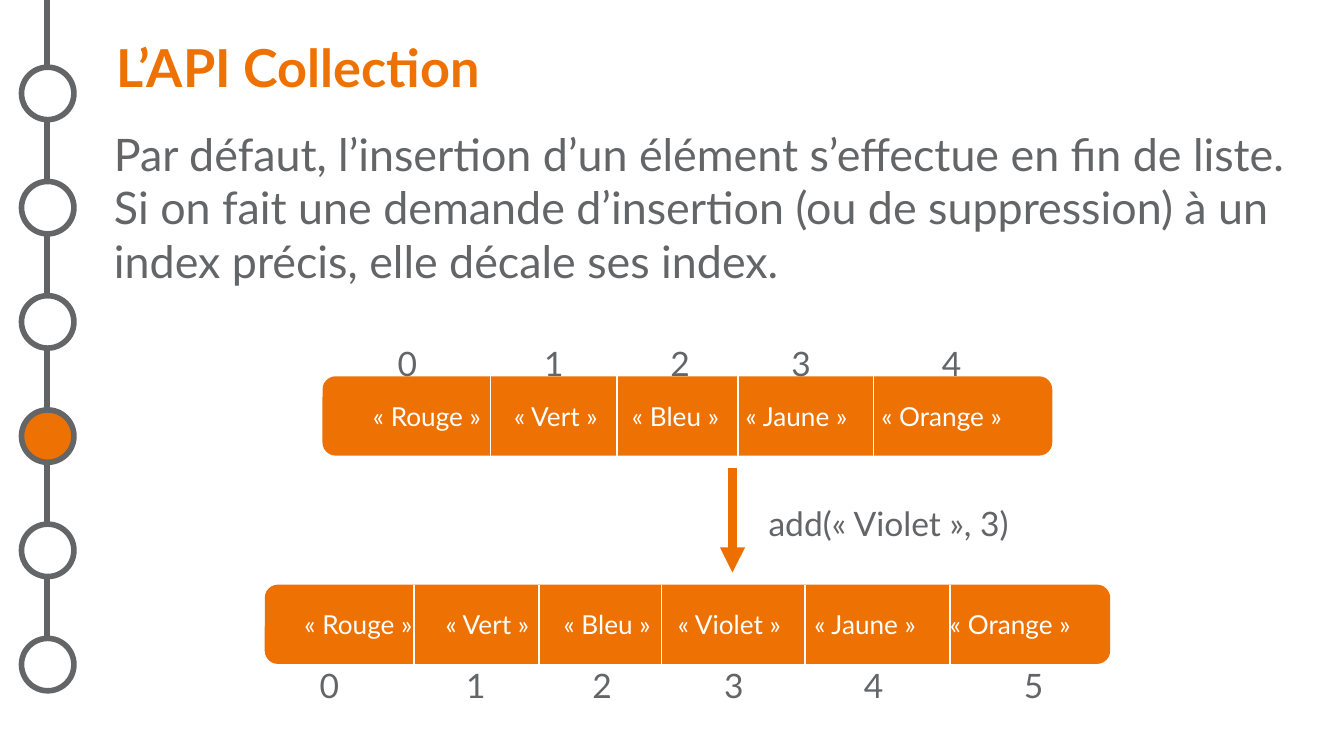
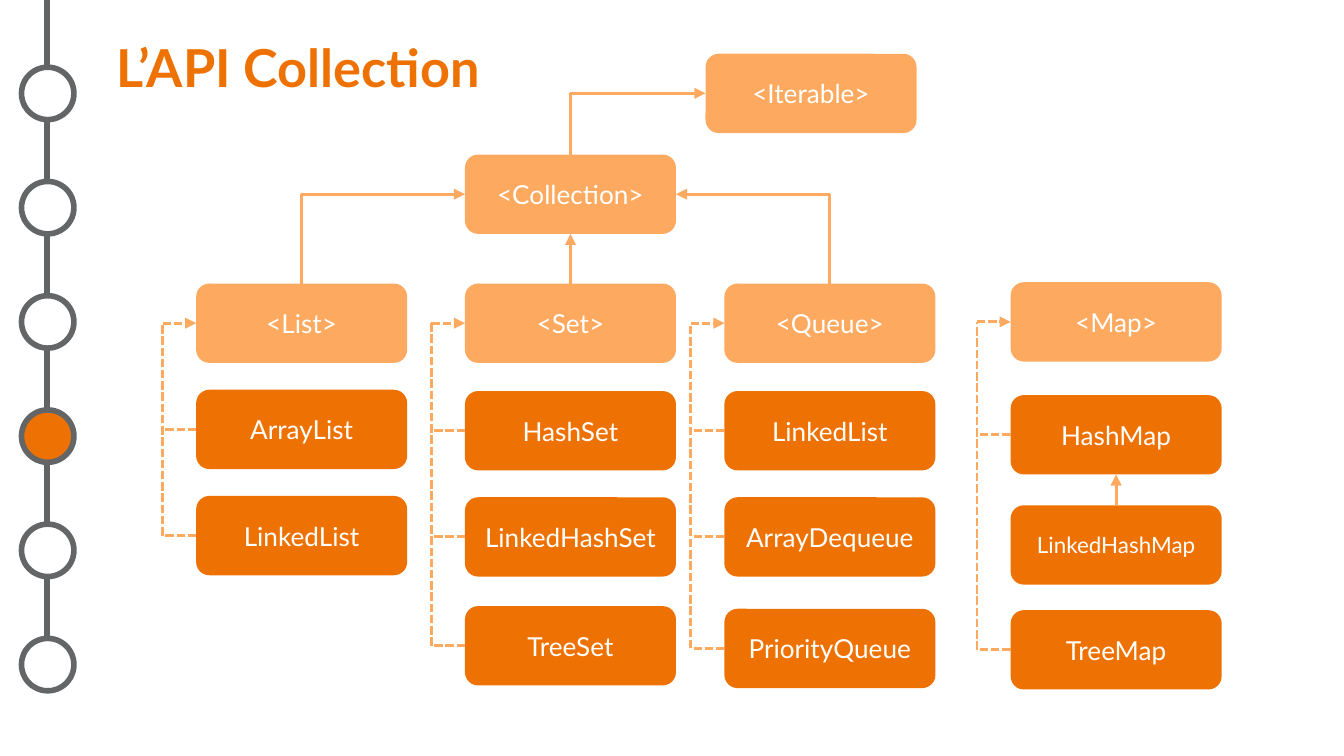
from pptx import Presentation
from pptx.dml.color import RGBColor
from pptx.enum.dml import MSO_LINE
from pptx.enum.shapes import MSO_CONNECTOR as LINE, MSO_SHAPE as SHAPE
from pptx.enum.text import MSO_ANCHOR as ANCHOR, PP_ALIGN as ALIGN
from pptx.oxml.ns import qn
from pptx.util import Inches, Pt
from lxml.etree import SubElement

COLORS = {"orange": "EE7203", "arrow": "EC6F00", "light": "FDAA60",
          "grey": "646567", "rail": "626365", "white": "FFFFFF"}
FONT = "Lato"
WIDTH = 10
HEIGHT = WIDTH * 9 / 16
BOX_W, BOX_H = 1.57, 0.59
TITLE = "L’API Collection"
INTRO = ("Par défaut, l’insertion d’un élément s’effectue en fin de liste. "
         "Si on fait une demande d’insertion (ou de suppression) à un index "
         "précis, elle décale ses index.")
CALL = "add(« Violet », 3)"

LISTS = [
    {"left": 2.4, "top": 2.8, "width": 5.43, "index_top": 2.5,
     "dividers": [3.65, 4.59, 5.49, 6.5],
     "cells": [("Rouge", 3.18, 3.03), ("Vert", 4.14, 4.12), ("Bleu", 5.03, 5.06),
               ("Jaune", 5.93, 5.96), ("Orange", 7.01, 7.08)]},
    {"left": 1.97, "top": 4.35, "width": 6.29, "index_top": 4.9,
     "dividers": [3.08, 4.01, 4.92, 5.99, 7.07],
     "cells": [("Rouge", 2.67, 2.45), ("Vert", 3.63, 3.54), ("Bleu", 4.52, 4.48),
               ("Violet", 5.43, 5.46), ("Jaune", 6.44, 6.5), ("Orange", 7.52, 7.69)]},
]

ROOTS = {"<Iterable>": (5.25, 0.4), "<Collection>": (3.46, 1.15)}
FAMILIES = [
    (1.46, [("<List>", 2.11), ("ArrayList", 2.9), ("LinkedList", 3.69)]),
    (3.46, [("<Set>", 2.11), ("HashSet", 2.91), ("LinkedHashSet", 3.7), ("TreeSet", 4.51)]),
    (5.39, [("<Queue>", 2.11), ("LinkedList", 2.91), ("ArrayDequeue", 3.7),
            ("PriorityQueue", 4.53)]),
    (7.52, [("<Map>", 2.1), ("HashMap", 2.94), ("LinkedHashMap", 3.76), ("TreeMap", 4.54)]),
]
SUBCLASS = ("LinkedHashMap", "HashMap")
BRACKET_GAP = 0.25
TOP, LEFT, BOTTOM, RIGHT = range(4)
INHERITANCE = [("<Collection>", LEFT, "<List>", TOP), ("<Collection>", BOTTOM, "<Set>", TOP),
               ("<Collection>", RIGHT, "<Queue>", TOP), ("<Iterable>", LEFT, "<Collection>", TOP)]
STEPS, CURRENT = 6, 3


def rgb(color):
    return RGBColor.from_string(COLORS[color])


def write(paragraph, text, size, color, **formats):
    run = paragraph.add_run()
    run.text = text
    run.font.color.rgb = rgb(color)
    for name, value in {"name": FONT, "size": Pt(size), **formats}.items():
        setattr(run.font, name, value)


def add_text(slide, text, area, size, wrap=True, align=ALIGN.LEFT, before=0):
    frame = slide.shapes.add_textbox(*map(Inches, area)).text_frame
    frame.word_wrap = wrap
    paragraph = frame.paragraphs[0]
    paragraph.alignment, paragraph.space_before = align, Pt(before)
    write(paragraph, text, size, "grey")


def add_shape(shapes, kind, area, fill, outline=None):
    shape = shapes.add_shape(kind, *map(Inches, area))
    shape.shadow.inherit = False
    shape.fill.solid()
    shape.fill.fore_color.rgb = rgb(fill)
    if outline:
        shape.line.color.rgb, shape.line.width = rgb(outline), Pt(3)
    else:
        shape.line.fill.background()
    return shape


def add_box(slide, area, fill, text, size=14, align=ALIGN.CENTER):
    box = add_shape(slide.shapes, SHAPE.ROUNDED_RECTANGLE, area, fill)
    frame = box.text_frame
    margins = {f"margin_{side}": Inches(0.1) for side in ("left", "top", "right", "bottom")}
    for name, value in {**margins, "vertical_anchor": ANCHOR.MIDDLE, "word_wrap": True}.items():
        setattr(frame, name, value)
    frame.paragraphs[0].alignment = align
    write(frame.paragraphs[0], text, size, "white")
    return box


def add_line(shapes, start, end, color, width, kind=LINE.STRAIGHT, arrow=None, dashed=False):
    line = shapes.add_connector(kind, *map(Inches, (*start, *end)))
    line.line.color.rgb, line.line.width = rgb(color), Pt(width)
    if dashed:
        line.line.dash_style = MSO_LINE.SQUARE_DOT
    if arrow:
        SubElement(line.line._get_or_add_ln(), qn(f"a:{arrow}"), type="triangle")
    SubElement(line._element.spPr, qn("a:effectLst"))
    return line


def add_slide(deck):
    slide = deck.slides.add_slide(deck.slide_layouts[5])
    title = slide.shapes.title
    for name, value in zip(("left", "top", "width", "height"), (0.87, 0.2, 8.76, 0.59)):
        setattr(title, name, Inches(value))
    frame = title.text_frame
    for side in ("left", "top", "right", "bottom"):
        setattr(frame, f"margin_{side}", 0)
    frame.vertical_anchor = ANCHOR.MIDDLE
    frame.paragraphs[0].alignment = ALIGN.LEFT
    write(frame.paragraphs[0], TITLE, 28, "orange", bold=True)
    return slide


def add_rail(slide):
    rail = slide.shapes.add_group_shape().shapes
    add_line(rail, (0.35, 0), (0.35, 5.02), "rail", 3)
    for step in range(STEPS):
        fill = "orange" if step == CURRENT else "white"
        add_shape(rail, SHAPE.OVAL, (0.16, 0.5 + 0.85 * step, 0.39, 0.39), fill, "grey")


def add_list(slide, row):
    left, top = row["left"], row["top"]
    words = "".join(f"\t« {word} »" for word, _, _ in row["cells"])
    bar = add_box(slide, (left, top, row["width"], BOX_H), "orange", words, align=ALIGN.LEFT)
    tabs = SubElement(bar.text_frame.paragraphs[0]._p.get_or_add_pPr(), qn("a:tabLst"))
    text_left = left + 0.13
    for index, (_, word_center, index_center) in enumerate(row["cells"]):
        SubElement(tabs, qn("a:tab"), pos=str(Inches(word_center - text_left)), algn="ctr")
        add_text(slide, str(index), (index_center - 0.17, row["index_top"], 0.34, 0.4), 18,
                 wrap=False, align=ALIGN.CENTER)
    for x in row["dividers"]:
        add_line(slide.shapes, (x, top), (x, top + BOX_H), "white", 0.75)


def add_bracket(slide, left, members):
    spine = left - BRACKET_GAP
    parent, *children = [top + BOX_H / 2 for name, top in members if name != SUBCLASS[0]]
    style = {"color": "light", "width": 1.5, "dashed": True}
    add_line(slide.shapes, (spine, children[-1]), (spine, parent), **style)
    add_line(slide.shapes, (spine, parent), (left, parent), arrow="tailEnd", **style)
    for child in children:
        add_line(slide.shapes, (left, child), (spine, child), **style)


def link(slide, parent, parent_side, child, child_side):
    straight = parent_side == BOTTOM
    line = add_line(slide.shapes, (0, 0), (1, 1), "light", 1.5,
                    LINE.STRAIGHT if straight else LINE.ELBOW, "headEnd")
    line.begin_connect(parent, parent_side)
    line.end_connect(child, child_side)
    if not straight:
        line._element.spPr.find(qn("a:prstGeom")).set("prst", "bentConnector2")


def build_insertion(deck):
    slide = add_slide(deck)
    add_text(slide, INTRO, (0.75, 0.89, 9.1, 4.52), 24, before=2)
    for row in LISTS:
        add_list(slide, row)
    add_text(slide, CALL, (5.62, 3.69, 2.15, 0.4), 18)
    add_line(slide.shapes, (5.45, 3.48), (5.45, 4.26), "arrow", 4.5, arrow="tailEnd")
    add_rail(slide)


def build_hierarchy(deck):
    slide = add_slide(deck)
    boxes = {name: add_box(slide, (*corner, BOX_W, BOX_H), "light", name)
             for name, corner in ROOTS.items()}
    for left, members in FAMILIES:
        for name, top in members:
            fill = "light" if name.startswith("<") else "orange"
            size = 12 if name == SUBCLASS[0] else 14
            boxes[name] = add_box(slide, (left, top, BOX_W, BOX_H), fill, name, size)
        add_bracket(slide, left, members)
    for parent, parent_side, child, child_side in INHERITANCE:
        link(slide, boxes[parent], parent_side, boxes[child], child_side)
    subclass, base = SUBCLASS
    link(slide, boxes[base], BOTTOM, boxes[subclass], TOP)
    add_rail(slide)


def main():
    deck = Presentation()
    deck.slide_width, deck.slide_height = Inches(WIDTH), Inches(HEIGHT)
    build_insertion(deck)
    build_hierarchy(deck)
    deck.save("out.pptx")


if __name__ == "__main__":
    main()
